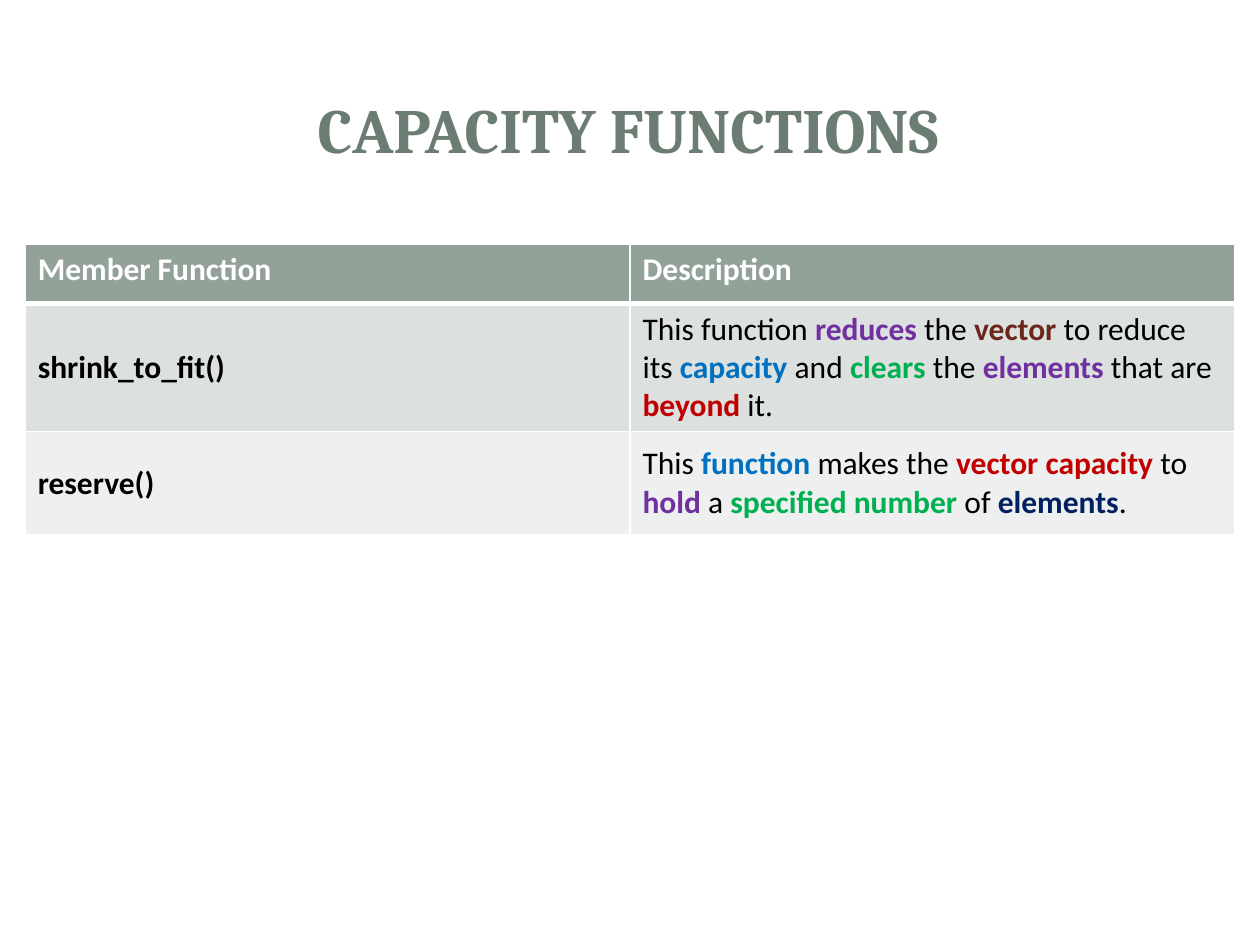
from dataclasses import dataclass

from lxml.etree import SubElement
from pptx import Presentation
from pptx.dml.color import RGBColor
from pptx.enum.shapes import MSO_SHAPE
from pptx.enum.text import MSO_ANCHOR, PP_ALIGN
from pptx.oxml.ns import qn
from pptx.slide import Slide
from pptx.table import _Cell
from pptx.util import Inches, Pt


@dataclass(frozen=True)
class Theme:
    title_font: str = "Cambria"
    body_font: str = "Calibri"
    title_size: int = 36
    body_size: int = 18
    title: str = "6B7D72"
    header: str = "93A299"
    bands: tuple[str, str] = ("DCE0DE", "EEF0EF")
    white: str = "FFFFFF"
    black: str = "000000"
    purple: str = "7030A0"
    brown: str = "6C271B"
    blue: str = "0070C0"
    green: str = "00B050"
    red: str = "C00000"
    navy: str = "002060"


THEME = Theme()


@dataclass(frozen=True)
class Panel:
    left: float
    top: float
    width: float
    height: float
    outline: MSO_SHAPE = MSO_SHAPE.RECTANGLE
    corner: float | None = None
    opacity: int = 100


@dataclass(frozen=True)
class Span:
    text: str
    color: str = THEME.black
    bold: bool = False


@dataclass(frozen=True)
class MemberFunction:
    name: str
    description: list[Span]


def key(text: str, color: str) -> Span:
    """Return a highlighted keyword."""
    return Span(text, color, bold=True)


PANELS = [
    Panel(0.1, 0.11, 9.8, 7.29, MSO_SHAPE.ROUNDED_RECTANGLE, corner=0.02),
    Panel(0.3, 0.3, 9.4, 1.45, opacity=83),
    Panel(0.41, 0.41, 9.17, 1.22),
]
HEADINGS = ("Member Function", "Description")
FUNCTIONS = [
    MemberFunction("shrink_to_fit()", [
        Span("This function "), key("reduces", THEME.purple),
        Span(" the "), key("vector", THEME.brown),
        Span(" to reduce its "), key("capacity", THEME.blue),
        Span(" and "), key("clears ", THEME.green),
        Span("the "), key("elements", THEME.purple),
        Span(" that are "), key("beyond", THEME.red), Span(" it."),
    ]),
    MemberFunction("reserve()", [
        Span("This "), key("function", THEME.blue),
        Span(" makes the "), key("vector capacity ", THEME.red),
        Span("to "), key("hold", THEME.purple),
        Span(" a "), key("specified number ", THEME.green),
        Span("of "), key("elements", THEME.navy), Span("."),
    ]),
]


def add_panel(page: Slide, panel: Panel) -> None:
    shape = page.shapes.add_shape(panel.outline, Inches(panel.left), Inches(panel.top),
                                  Inches(panel.width), Inches(panel.height))
    shape.shadow.inherit = False
    shape.line.fill.background()
    shape.fill.solid()
    shape.fill.fore_color.rgb = RGBColor.from_string(THEME.white)
    if panel.corner is not None:
        shape.adjustments[0] = panel.corner
    if panel.opacity < 100:
        color = shape._element.spPr.find(f"{qn('a:solidFill')}/{qn('a:srgbClr')}")
        SubElement(color, qn("a:alpha"), val=str(panel.opacity * 1000))


def add_title(page: Slide, text: str) -> None:
    """Fill the title placeholder and bring it in front of the panels."""
    box = page.shapes.title
    page.shapes._spTree.append(box._element)
    box.left, box.top = Inches(0.47), Inches(0.45)
    box.width, box.height = Inches(9.03), Inches(1.14)
    box.text_frame.text = text
    box.text_frame.vertical_anchor = MSO_ANCHOR.MIDDLE
    para = box.text_frame.paragraphs[0]
    para.alignment = PP_ALIGN.CENTER
    font = para.runs[0].font
    font.name, font.size, font.bold = THEME.title_font, Pt(THEME.title_size), True
    font.color.rgb = RGBColor.from_string(THEME.title)


def set_borders(cell: _Cell, bottom: int) -> None:
    """Draw white cell borders; bottom is the lower width in points."""
    properties = cell._tc.get_or_add_tcPr()
    for tag, width in (("a:lnL", 1), ("a:lnR", 1), ("a:lnT", 1), ("a:lnB", bottom)):
        line = SubElement(properties, qn(tag), w=str(Pt(width)))
        fill = SubElement(line, qn("a:solidFill"))
        SubElement(fill, qn("a:srgbClr"), val=THEME.white)


def fill_cell(cell: _Cell, spans: list[Span], fill: str,
              anchor: MSO_ANCHOR = MSO_ANCHOR.MIDDLE, bottom: int = 1) -> None:
    set_borders(cell, bottom)
    cell.fill.solid()
    cell.fill.fore_color.rgb = RGBColor.from_string(fill)
    cell.vertical_anchor = anchor
    para = cell.text_frame.paragraphs[0]
    for span in spans:
        run = para.add_run()
        run.text = span.text
        font = run.font
        font.name, font.size, font.bold = THEME.body_font, Pt(THEME.body_size), span.bold
        font.color.rgb = RGBColor.from_string(span.color)


def add_function_table(page: Slide) -> None:
    frame = page.shapes.add_table(len(FUNCTIONS) + 1, len(HEADINGS), Inches(0.2),
                                  Inches(1.94), Inches(9.6), Inches(2.11))
    table = frame.table
    table.rows[0].height = Inches(0.47)
    for column, heading in enumerate(HEADINGS):
        fill_cell(table.cell(0, column), [key(heading, THEME.white)], THEME.header,
                  MSO_ANCHOR.TOP, bottom=3)
    for row, (function, band) in enumerate(zip(FUNCTIONS, THEME.bands), start=1):
        table.rows[row].height = Inches(0.82)
        fill_cell(table.cell(row, 0), [key(function.name, THEME.black)], band)
        fill_cell(table.cell(row, 1), function.description, band)


def main() -> None:
    deck = Presentation()
    deck.slide_width, deck.slide_height = Inches(10), Inches(7.5)
    page = deck.slides.add_slide(deck.slide_layouts.get_by_name("Title Only"))
    for panel in PANELS:
        add_panel(page, panel)
    add_title(page, "CAPACITY FUNCTIONS")
    add_function_table(page)
    deck.save("out.pptx")


if __name__ == "__main__":
    main()
